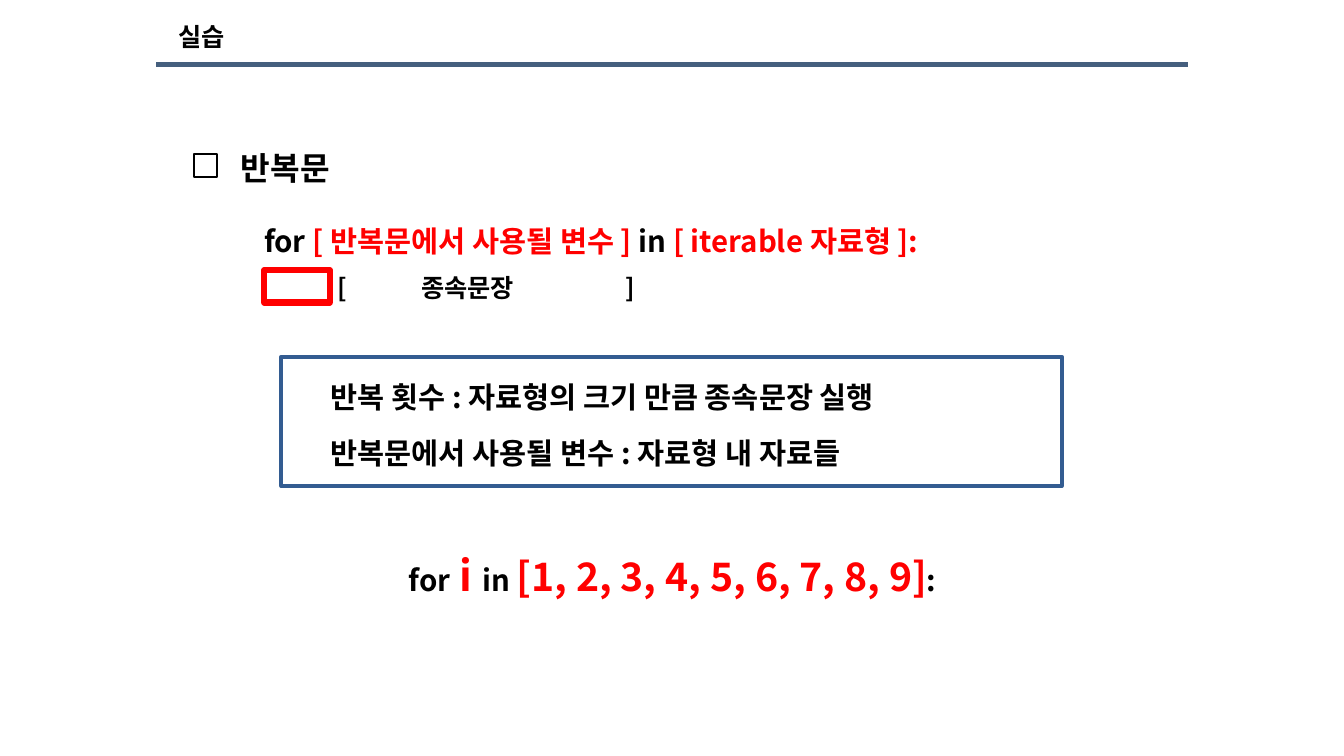
"""Build the practice slide that explains the for loop syntax."""
from lxml.etree import SubElement
from pptx import Presentation
from pptx.dml.color import RGBColor
from pptx.enum.shapes import MSO_CONNECTOR as Connector, MSO_SHAPE as Shape
from pptx.enum.text import MSO_ANCHOR as Anchor, MSO_AUTO_SIZE as AutoSize, PP_ALIGN as Align
from pptx.oxml.ns import qn
from pptx.util import Inches, Pt

BLACK, RED, WHITE = "000000", "FF0000", "FFFFFF"
NOTO = "Noto Sans CJK KR"


def color(value):
    return RGBColor.from_string(value)


def write(shape, lines, size, font=NOTO, align=Align.LEFT, insets=(0.1, 0.05, 0.1, 0.05)):
    frame = shape.text_frame
    frame.word_wrap, frame.auto_size = True, AutoSize.NONE
    frame.vertical_anchor = Anchor.TOP
    frame.margin_left, frame.margin_top, frame.margin_right, frame.margin_bottom = map(Inches, insets)
    for index, runs in enumerate(lines):
        paragraph = frame.add_paragraph() if index else frame.paragraphs[0]
        paragraph.alignment = align
        paragraph.space_before = Pt(0)
        paragraph.font.name, paragraph.font.size, paragraph.font.bold = font, Pt(size), True
        for text, fill, *run_size in runs:
            run = paragraph.add_run()
            run.text = text
            run.font.color.rgb = color(fill)
            if run_size:
                run.font.size = Pt(run_size[0])
    return frame.paragraphs


presentation = Presentation()
presentation.slide_width, presentation.slide_height = Inches(13.33), Inches(7.5)
slide = presentation.slides.add_slide(presentation.slide_layouts[1])
shapes = slide.shapes

title, rules = shapes.title, slide.placeholders[1]
title.left, title.top, title.width, title.height = map(Inches, (1.67, 0.16, 5.67, 0.4))
write(title, [[("실습", BLACK)]], 18, "Arial")

underline = shapes.add_connector(Connector.STRAIGHT, *map(Inches, (1.55, 0.64, 11.78, 0.64)))
underline.line.color.rgb, underline.line.width = color("455F7E"), Pt(3.6)
SubElement(underline._element.spPr, qn("a:effectLst"))

rules.left, rules.top, rules.width, rules.height = map(Inches, (2.79, 3.54, 7.74, 1.28))
rules.line.color.rgb, rules.line.width = color("335C91"), Pt(3)
rule_lines = [
    [("반복 횟수 : 자료형의 크기 만큼 종속문장 실행", BLACK)],
    [("반복문에서 사용될 변수 : 자료형 내 자료들", BLACK)],
]
rule_paragraphs = write(rules, rule_lines, 21, insets=(0.49, 0.22, 0.1, 0.16))
rule_paragraphs[1].line_spacing = 1.6
for paragraph in rule_paragraphs:
    properties = paragraph._p.get_or_add_pPr()
    properties.set("marL", "0")
    properties.set("indent", "0")
    bullet = properties.makeelement(qn("a:buNone"), {})
    properties.find(qn("a:defRPr")).addprevious(bullet)

syntax = [
    ("for ", BLACK),
    ("[ 반복문에서 사용될 변수 ]", RED),
    (" in ", BLACK),
    ("[ iterable 자료형 ]:", RED),
]
example = [
    ("for", BLACK),
    (" i ", RED, 30),
    ("in ", BLACK),
    ("[1, 2, 3, 4, 5, 6, 7, 8, 9]", RED, 28),
    (":", BLACK),
]
for position, runs, size, font, align in [
    ((2.29, 1.42, 3.55, 0.48), [("반복문", BLACK)], 23, "Arial", Align.LEFT),
    ((2.52, 2.16, 7.72, 0.45), syntax, 21, NOTO, Align.LEFT),
    ((2.81, 5.4, 7.72, 0.6), example, 21, NOTO, Align.CENTER),
]:
    write(shapes.add_textbox(*map(Inches, position)), [runs], size, font, align)

body_box = shapes.add_textbox(*map(Inches, (3.25, 2.65, 3.33, 0.4)))
body_properties = body_box.text_frame.paragraphs[0]._p.get_or_add_pPr()
tab_list = SubElement(body_properties, qn("a:tabLst"))
for stop in (0.83, 2.86):
    SubElement(tab_list, qn("a:tab"), pos=str(Inches(stop)), algn="l")
write(body_box, [[("[\t종속문장\t]", BLACK)]], 18)

for position, fill, line, width in [
    ((1.92, 1.53, 0.23, 0.23), WHITE, BLACK, 1.5),
    ((2.62, 2.68, 0.65, 0.32), None, RED, 4.5),
]:
    box = shapes.add_shape(Shape.RECTANGLE, *map(Inches, position))
    box.shadow.inherit = False
    box.line.color.rgb, box.line.width = color(line), Pt(width)
    if fill:
        box.fill.solid()
        box.fill.fore_color.rgb = color(fill)
    else:
        box.fill.background()

presentation.save("out.pptx")
